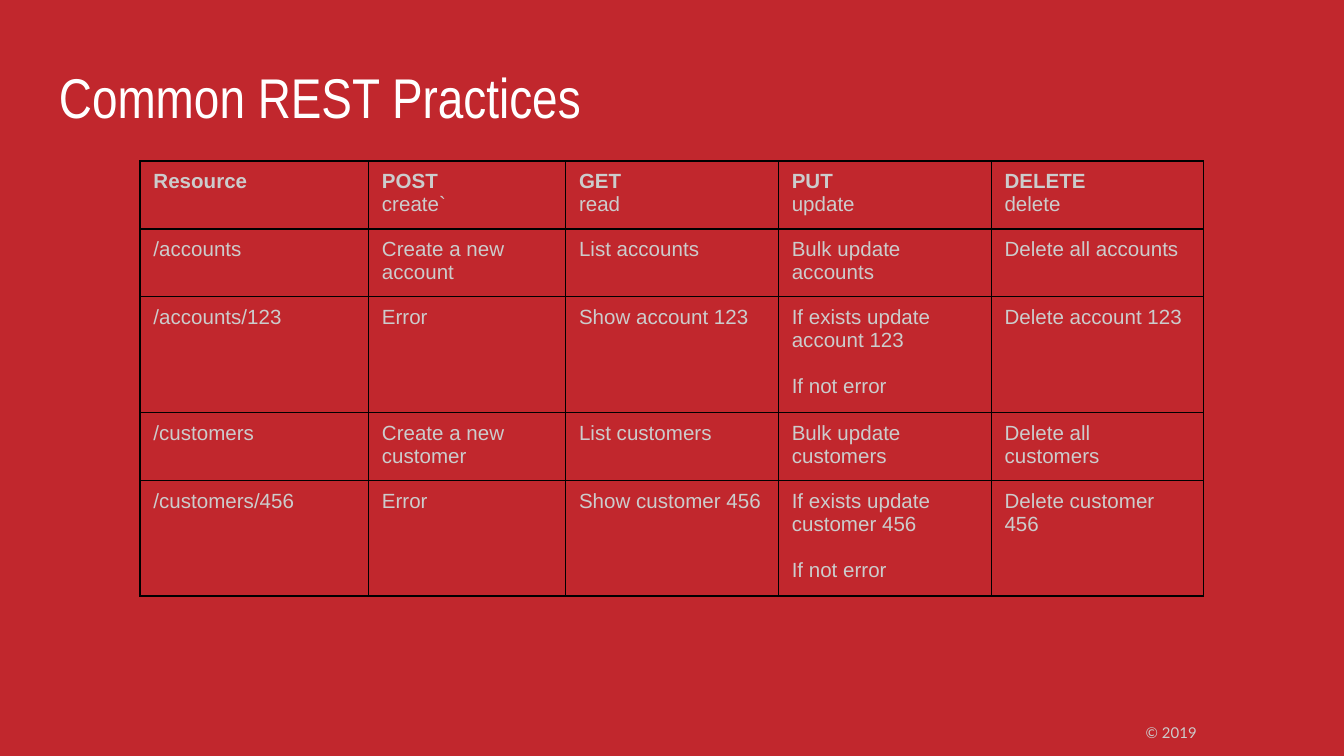
"""Build the slide with a table of common REST practices."""
from dataclasses import dataclass

from lxml.etree import SubElement
from pptx import Presentation
from pptx.dml.color import RGBColor
from pptx.enum.text import MSO_ANCHOR, PP_ALIGN
from pptx.oxml.ns import qn
from pptx.util import Pt


@dataclass(frozen=True)
class Theme:
    background: str = "C1272D"
    title: str = "FFFFFF"
    body: str = "CCCCCC"
    border: str = "000000"
    title_size: float = 30
    body_size: float = 11
    footer_size: float = 8
    line_gap: float = 12.3


def style(p, name, size, color, bold=False):
    p.font.name = name
    p.font.size = Pt(size)
    p.font.color.rgb = RGBColor.from_string(color)
    p.font.bold = bold


def add_text(s, text, box, name, size, color):
    tf = s.shapes.add_textbox(*map(Pt, box)).text_frame
    tf.word_wrap = True
    tf.margin_left = tf.margin_right = tf.margin_top = tf.margin_bottom = Pt(7.2)
    p = tf.paragraphs[0]
    p.text = text
    style(p, name, size, color)
    return tf


theme = Theme()
prs = Presentation()
prs.slide_width, prs.slide_height = Pt(720), Pt(405)
s = prs.slides.add_slide(prs.slide_layouts[6])
s.background.fill.solid()
s.background.fill.fore_color.rgb = RGBColor.from_string(theme.background)

tf = add_text(s, "© 2019", (558, 385.2, 139, 14.4), "Lato", theme.footer_size, theme.body)
tf.vertical_anchor = MSO_ANCHOR.MIDDLE
tf.paragraphs[0].alignment = PP_ALIGN.CENTER

add_text(s, "Common REST Practices", (24.5, 26.6, 671, 33.8),
         "Arial Narrow", theme.title_size, theme.title)

rows = [
    ["Resource", "POST\ncreate`", "GET\nread", "PUT\nupdate", "DELETE\ndelete"],
    ["/accounts", "Create a new account", "List accounts",
     "Bulk update accounts", "Delete all accounts"],
    ["/accounts/123", "Error", "Show account 123",
     "If exists update account 123\nIf not error", "Delete account 123"],
    ["/customers", "Create a new customer", "List customers",
     "Bulk update customers", "Delete all customers"],
    ["/customers/456", "Error", "Show customer 456",
     "If exists update customer 456\nIf not error", "Delete customer 456"],
]
widths = [122.4, 105.6, 114, 114, 114]
heights = [35.3, 35.3, 60.5, 35.3, 60.5]

table = s.shapes.add_table(len(rows), len(widths), Pt(75), Pt(86.2),
                           Pt(sum(widths)), Pt(sum(heights))).table
table.first_row = table.horz_banding = False
for column, width in zip(table.columns, widths):
    column.width = Pt(width)

for i, (row, height) in enumerate(zip(rows, heights)):
    table.rows[i].height = Pt(height)
    for j, text in enumerate(row):
        cell = table.cell(i, j)
        cell.margin_left = cell.margin_right = Pt(7.2)
        cell.margin_top = cell.margin_bottom = Pt(5)
        tcPr = cell._tc.get_or_add_tcPr()
        for side in ("a:lnL", "a:lnR", "a:lnT", "a:lnB"):
            ln = SubElement(tcPr, qn(side), w=str(Pt(0.75)))
            fill = SubElement(ln, qn("a:solidFill"))
            SubElement(fill, qn("a:srgbClr"), val=theme.border)
        cell.fill.background()
        cell.text = text
        for k, p in enumerate(cell.text_frame.paragraphs):
            style(p, "Arial", theme.body_size, theme.body, bold=i == 0 and k == 0)
            if i > 0 and k > 0:
                p.space_before = Pt(theme.line_gap)

prs.save("out.pptx")
